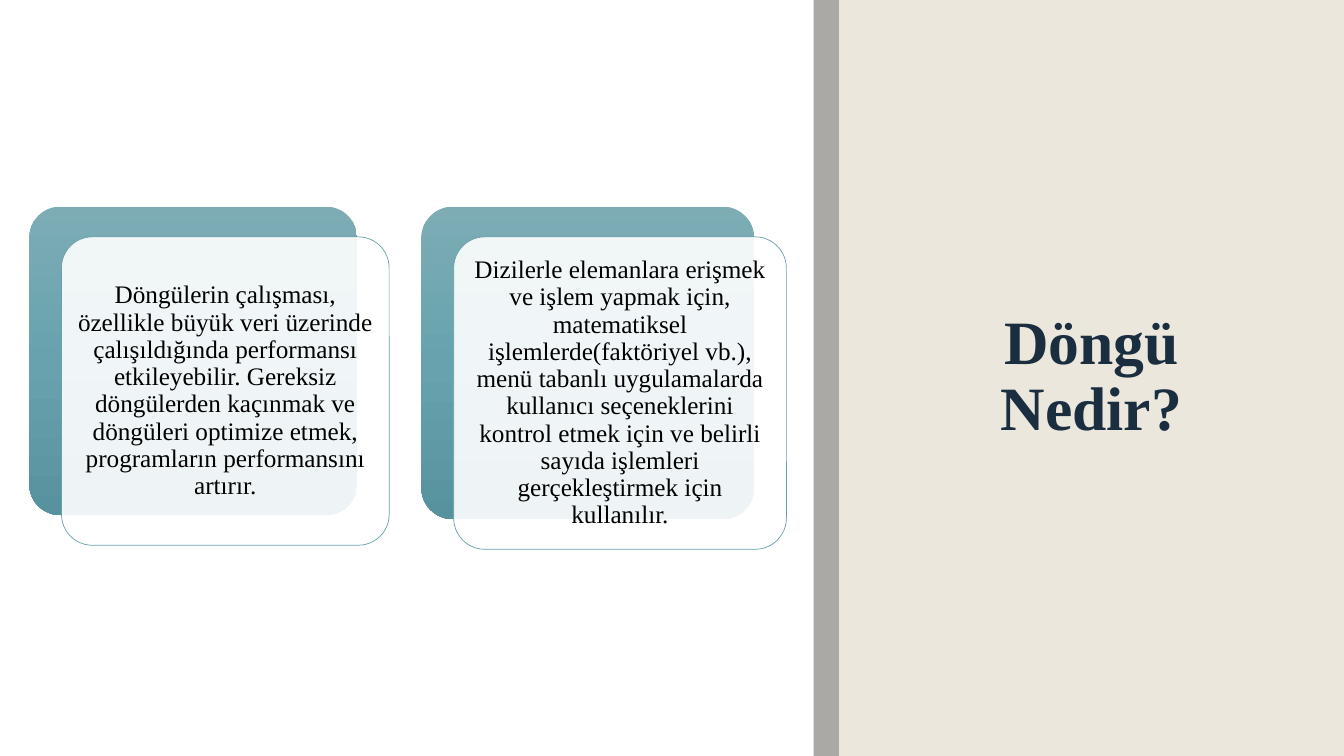
from copy import deepcopy

from lxml import etree
from pptx import Presentation
from pptx.dml.color import RGBColor
from pptx.enum.shapes import MSO_SHAPE
from pptx.enum.text import MSO_ANCHOR, PP_ALIGN
from pptx.oxml.ns import qn
from pptx.util import Inches, Pt

RECT = MSO_SHAPE.RECTANGLE
ROUNDED = MSO_SHAPE.ROUNDED_RECTANGLE
MIDDLE = MSO_ANCHOR.MIDDLE
CENTER = PP_ALIGN.CENTER
FONT = "Times New Roman"
STOPS = [(0, "7DACB5"), (0.5, "66A3AE"), (1, "57939E")]
CARDS = [
    (0.29, 3.25, 3.06,
     "Döngülerin çalışması, özellikle büyük veri üzerinde çalışıldığında "
     "performansı etkileyebilir. Gereksiz döngülerden kaçınmak ve döngüleri "
     "optimize etmek, programların performansını artırır."),
    (4.18, 3.3, 3.1,
     "Dizilerle elemanlara erişmek ve işlem yapmak için, matematiksel "
     "işlemlerde(faktöriyel vb.), menü tabanlı uygulamalarda kullanıcı "
     "seçeneklerini kontrol etmek için ve belirli sayıda işlemleri "
     "gerçekleştirmek için kullanılır."),
]


def add_box(kind, x, y, w, h, color, opacity=100):
    sp = slide.shapes.add_shape(kind, Inches(x), Inches(y), Inches(w), Inches(h))
    sp.shadow.inherit = False
    sp.line.fill.background()
    sp.fill.solid()
    sp.fill.fore_color.rgb = RGBColor.from_string(color)
    if opacity < 100:
        clr = sp._element.spPr.find(qn("a:solidFill"))[0]
        etree.SubElement(clr, qn("a:alpha")).set("val", str(opacity * 1000))
    if kind == ROUNDED:
        sp.adjustments[0] = 0.1
    return sp


def set_text(tf, text, size, color, spacing):
    tf.text = text
    tf.word_wrap = True
    tf.vertical_anchor = MIDDLE
    p = tf.paragraphs[0]
    p.alignment = CENTER
    p.line_spacing = spacing
    p.font.name = FONT
    p.font.size = Pt(size)
    p.font.color.rgb = RGBColor.from_string(color)
    return p


prs = Presentation()
prs.slide_width = Inches(13.33)
prs.slide_height = Inches(7.5)
slide = prs.slides.add_slide(prs.slide_layouts[5])
slide.background.fill.solid()
slide.background.fill.fore_color.rgb = RGBColor.from_string("EBE7DD")

title = slide.shapes.title
title.left, title.top = Inches(9.02), Inches(0.7)
title.width, title.height = Inches(3.61), Inches(6.1)
p = set_text(title.text_frame, "Döngü Nedir?", 44, "1A2E40", 0.89)
p.font.bold = True

add_box(RECT, 0, 0, 8.07, 7.5, "FFFFFF")
add_box(RECT, 8.07, 0, 0.25, 7.5, "808080", 60)

for x, w, h, text in CARDS:
    back = add_box(ROUNDED, x, 2.05, w, h, STOPS[0][1])
    back.fill.gradient()
    back.fill.gradient_angle = 270
    stop_list = back._element.spPr.find(qn("a:gradFill")).find(qn("a:gsLst"))
    stop_list.append(deepcopy(stop_list[0]))
    for stop, (position, color) in zip(back.fill.gradient_stops, STOPS):
        stop.position = position
        stop.color.rgb = RGBColor.from_string(color)

    front = add_box(ROUNDED, x + 0.32, 2.35, w, h, "FFFFFF", 90)
    front.line.color.rgb = RGBColor.from_string("69A1AB")
    front.line.width = Pt(0.5)
    tf = front.text_frame
    tf.margin_left = tf.margin_right = Inches(0.07)
    tf.margin_top = tf.margin_bottom = Inches(0.07)
    set_text(tf, text, 18, "000000", 0.9)

prs.save("out.pptx")
